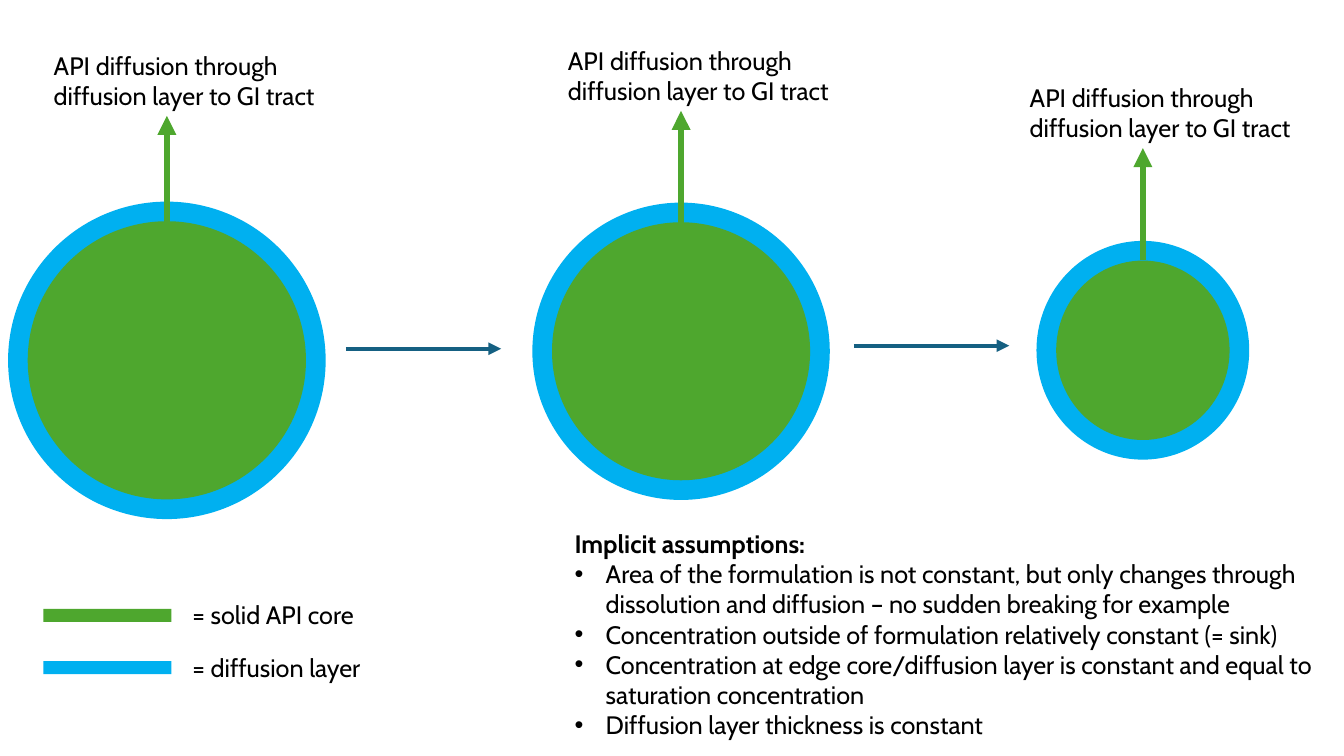
"""Builds a slide on API particles dissolving through a constant diffusion layer."""
import pptx
import pptx.dml.color
import pptx.enum.shapes
import pptx.enum.text
import pptx.oxml
import pptx.oxml.ns
import pptx.util

COLORS = {"core": "4EA72E", "layer": "00B0F0", "step": "156082", "text": "000000"}
FONT = {"name": "Cabin", "size": pptx.util.Pt(18)}
SLIDE_SIZE = (13.33, 7.5)

DIFFUSION = "API diffusion through diffusion layer to GI tract"
PARTICLES = [
    {"box": (0.08, 2.0, 3.15, 3.15), "arrow_tip": 1.15},
    {"box": (5.28, 2.01, 2.95, 2.95), "arrow_tip": 1.1},
    {"box": (10.28, 2.39, 2.11, 2.17), "arrow_tip": 1.47},
]
STEPS = [(3.43, 3.46), (8.47, 3.43)]
LEGEND = [("core", "= solid API core", 1.86), ("layer", "= diffusion layer", 1.92)]
ASSUMPTIONS_TITLE = "Implicit assumptions:"
ASSUMPTIONS = [
    "Area of the formulation is not constant, but only changes through "
    "dissolution and diffusion – no sudden breaking for example",
    "Concentration outside of formulation relatively constant (= sink)",
    "Concentration at edge core/diffusion layer is constant and equal to "
    "saturation concentration",
    "Diffusion layer thickness is constant",
]

LAYER_THICKNESS = 0.195
ARROW_LENGTH = 1.11
STEP_LENGTH = 1.54
LABEL_OFFSET, LABEL_WIDTH, LABEL_HEIGHT = 1.22, 3.04, 0.7
LEGEND_LEFT, LEGEND_TOP, LEGEND_PITCH = 0.43, 6.04, 0.52
BULLET_INDENT = 0.31

SHAPE = pptx.enum.shapes.MSO_SHAPE


def inches(lengths):
    return [pptx.util.Inches(length) for length in lengths]


def rgb(key):
    return pptx.dml.color.RGBColor.from_string(COLORS[key])


def add_filled(slide, preset, box, color):
    filled = slide.shapes.add_shape(preset, *inches(box))
    filled.shadow.inherit = False
    filled.fill.solid()
    filled.fill.fore_color.rgb = rgb(color)
    filled.line.fill.background()


def add_arrow(slide, start, end, color, weight):
    arrow = slide.shapes.add_connector(
        pptx.enum.shapes.MSO_CONNECTOR.STRAIGHT, *inches(start + end))
    arrow.line.color.rgb = rgb(color)
    arrow.line.width = pptx.util.Pt(weight)
    line = arrow.line._get_or_add_ln()
    line.append(pptx.oxml.parse_xml(
        f'<a:tailEnd {pptx.oxml.ns.nsdecls("a")} type="triangle"/>'))
    arrow._element.spPr.append(pptx.oxml.parse_xml(
        f'<a:effectLst {pptx.oxml.ns.nsdecls("a")}/>'))


def add_bullet(paragraph):
    properties = paragraph._p.get_or_add_pPr()
    indent = pptx.util.Inches(BULLET_INDENT)
    properties.set("marL", str(indent))
    properties.set("indent", str(-indent))
    for tag in ('buFont {} typeface="Arial"', 'buChar {} char="•"'):
        properties.append(pptx.oxml.parse_xml(
            f'<a:{tag.format(pptx.oxml.ns.nsdecls("a"))}/>'))


def add_text(slide, box, lines, wrap=True, heading=False):
    frame = slide.shapes.add_textbox(*inches(box)).text_frame
    frame.word_wrap = wrap
    frame.auto_size = pptx.enum.text.MSO_AUTO_SIZE.SHAPE_TO_FIT_TEXT
    for index, line in enumerate(lines):
        paragraph = frame.add_paragraph() if index else frame.paragraphs[0]
        if index:
            add_bullet(paragraph)
        run = paragraph.add_run()
        run.text = line
        for attribute, value in FONT.items():
            setattr(run.font, attribute, value)
        run.font.bold = heading and index == 0
        run.font.color.rgb = rgb("text")


def add_particle(slide, box, arrow_tip):
    left, top, width, height = box
    inset = LAYER_THICKNESS
    core = (left + inset, top + inset, width - 2 * inset, height - 2 * inset)
    center = left + width / 2
    add_filled(slide, SHAPE.OVAL, box, "layer")
    add_filled(slide, SHAPE.OVAL, core, "core")
    add_arrow(slide, (center, arrow_tip + ARROW_LENGTH), (center, arrow_tip), "core", 4.5)
    label = (center - LABEL_OFFSET, arrow_tip - LABEL_HEIGHT, LABEL_WIDTH, LABEL_HEIGHT)
    add_text(slide, label, [DIFFUSION])


def main():
    deck = pptx.Presentation()
    deck.slide_width, deck.slide_height = inches(SLIDE_SIZE)
    slide = deck.slides.add_slide(deck.slide_layouts[6])
    for particle in PARTICLES:
        add_particle(slide, **particle)
    for left, top in STEPS:
        add_arrow(slide, (left, top), (left + STEP_LENGTH, top), "step", 3)
    for row, (color, meaning, width) in enumerate(LEGEND):
        top = LEGEND_TOP + row * LEGEND_PITCH
        add_filled(slide, SHAPE.RECTANGLE, (LEGEND_LEFT, top, 1.27, 0.13), color)
        add_text(slide, (1.81, top - 0.14, width, 0.4), [meaning], wrap=False)
    add_text(slide, (5.6, 5.19, 7.54, 2.22), [ASSUMPTIONS_TITLE, *ASSUMPTIONS], heading=True)
    deck.save("out.pptx")


if __name__ == "__main__":
    main()
